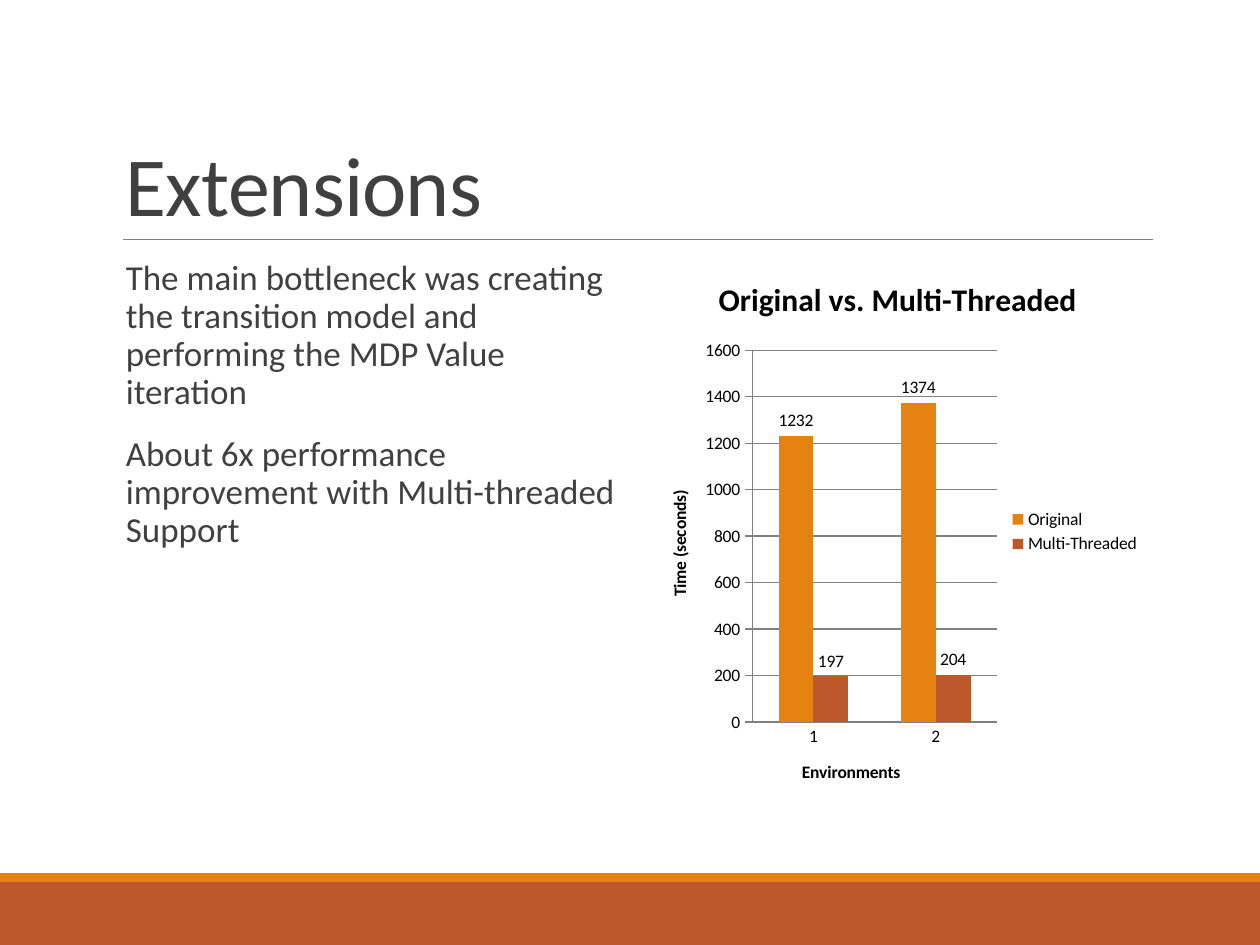
from dataclasses import dataclass

from pptx import Presentation
from pptx.chart.data import CategoryChartData
from pptx.dml.color import RGBColor
from pptx.enum.chart import XL_CHART_TYPE as ChartType, XL_LABEL_POSITION as LabelPosition
from pptx.enum.chart import XL_LEGEND_POSITION as LegendPosition, XL_TICK_MARK as TickMark
from pptx.enum.shapes import MSO_CONNECTOR as Connector, MSO_SHAPE as Shape
from pptx.enum.text import MSO_ANCHOR as Anchor
from pptx.oxml.ns import qn
from pptx.util import Inches, Pt

COLORS = {"rust": "BD582C", "orange": "E48312", "gray": "808080",
          "text": "404040", "black": "000000"}
FONT = "Calibri"


@dataclass
class Band:
    top: float
    height: float
    color: str


@dataclass
class TextBlock:
    top: float
    width: float
    height: float
    size: int
    line_spacing: float
    paragraphs: list[str]
    anchor: Anchor = Anchor.TOP
    before: int = 0
    after: int = 0
    tracking: int = 0  # hundredths of a point


@dataclass
class Series:
    name: str
    values: list[int]
    color: str


BANDS = [Band(7, 0.5, "rust"), Band(6.93, 0.07, "orange")]
TEXT_LEFT = 0.9
BLOCKS = [
    TextBlock(0.31, 8.25, 1.59, 48, 0.85, ["Extensions"], Anchor.BOTTOM, tracking=-50),
    TextBlock(2.02, 4.05, 4.4, 20, 0.9, [
        "The main bottleneck was creating the transition model and performing "
        "the MDP Value iteration",
        "About 6x performance improvement with Multi-threaded Support",
    ], before=12, after=2),
]
SERIES = [Series("Original", [1232, 1374], "orange"),
          Series("Multi-Threaded", [197, 204], "rust")]


def rgb(name: str) -> RGBColor:
    return RGBColor.from_string(COLORS[name])


def style_font(font, size: int, color: str, bold: bool = False) -> None:
    font.name, font.size, font.bold = FONT, Pt(size), bold
    font.color.rgb = rgb(color)


def draw_band(page, band: Band) -> None:
    bar = page.shapes.add_shape(Shape.RECTANGLE, 0, Inches(band.top),
                                Inches(10), Inches(band.height))
    bar.shadow.inherit = False
    bar.fill.solid()
    bar.fill.fore_color.rgb = rgb(band.color)
    bar.line.fill.background()


def draw_rule(page) -> None:
    rule = page.shapes.add_connector(Connector.STRAIGHT, Inches(0.98), Inches(1.9),
                                     Inches(9.15), Inches(1.9))
    rule.line.color.rgb = rgb("gray")
    rule.line.width = Pt(0.5)
    properties = rule._element.spPr
    properties.append(properties.makeelement(qn("a:effectLst"), {}))


def draw_text(page, block: TextBlock) -> None:
    box = page.shapes.add_textbox(Inches(TEXT_LEFT), Inches(block.top),
                                  Inches(block.width), Inches(block.height))
    frame = box.text_frame
    frame.word_wrap = True
    frame.vertical_anchor = block.anchor
    frame.margin_right = 0 if block.anchor == Anchor.TOP else Inches(0.1)
    for index, text in enumerate(block.paragraphs):
        para = frame.add_paragraph() if index else frame.paragraphs[0]
        para.line_spacing = block.line_spacing
        para.space_before, para.space_after = Pt(block.before), Pt(block.after)
        span = para.add_run()
        span.text = text
        style_font(span.font, block.size, "text")
        if block.tracking:
            span.font._element.set("spc", str(block.tracking))


def set_title(owner, text: str, size: int) -> None:
    """Give a chart or an axis a bold title."""
    owner.has_title = True
    title = owner.chart_title if hasattr(owner, "chart_title") else owner.axis_title
    span = title.text_frame.paragraphs[0].add_run()
    span.text = text
    style_font(span.font, size, "black", bold=True)


def draw_chart(page) -> None:
    data = CategoryChartData()
    data.categories = ["1", "2"]
    for series in SERIES:
        data.add_series(series.name, series.values)
    chart = page.shapes.add_chart(ChartType.COLUMN_CLUSTERED, Inches(5.1), Inches(2.02),
                                  Inches(4.05), Inches(4.4), data).chart
    style_font(chart.font, 10, "black")
    set_title(chart, "Original vs. Multi-Threaded", 18)
    set_title(chart.category_axis, "Environments", 10)
    set_title(chart.value_axis, "Time (seconds)", 10)
    chart.has_legend = True
    chart.legend.position = LegendPosition.RIGHT
    chart.legend.include_in_layout = False

    chart.category_axis.major_tick_mark = TickMark.NONE
    values = chart.value_axis
    values.major_tick_mark = TickMark.OUTSIDE
    values.minimum_scale, values.maximum_scale, values.major_unit = 0, 1600, 200
    values.has_major_gridlines = True
    for part in (chart.category_axis, values, values.major_gridlines):
        part.format.line.color.rgb = rgb("gray")
        part.format.line.width = Pt(0.75)

    plot = chart.plots[0]
    plot.gap_width, plot.overlap, plot.vary_by_categories = 150, 0, False
    for drawn, series in zip(plot.series, SERIES):
        drawn.format.fill.solid()
        drawn.format.fill.fore_color.rgb = rgb(series.color)
        drawn.data_labels.show_value = True
        drawn.data_labels.position = LabelPosition.OUTSIDE_END


def main() -> None:
    deck = Presentation()
    deck.slide_width, deck.slide_height = Inches(10), Inches(7.5)
    page = deck.slides.add_slide(deck.slide_layouts[6])
    for band in BANDS:
        draw_band(page, band)
    draw_rule(page)
    for block in BLOCKS:
        draw_text(page, block)
    draw_chart(page)
    deck.save("out.pptx")


if __name__ == "__main__":
    main()
